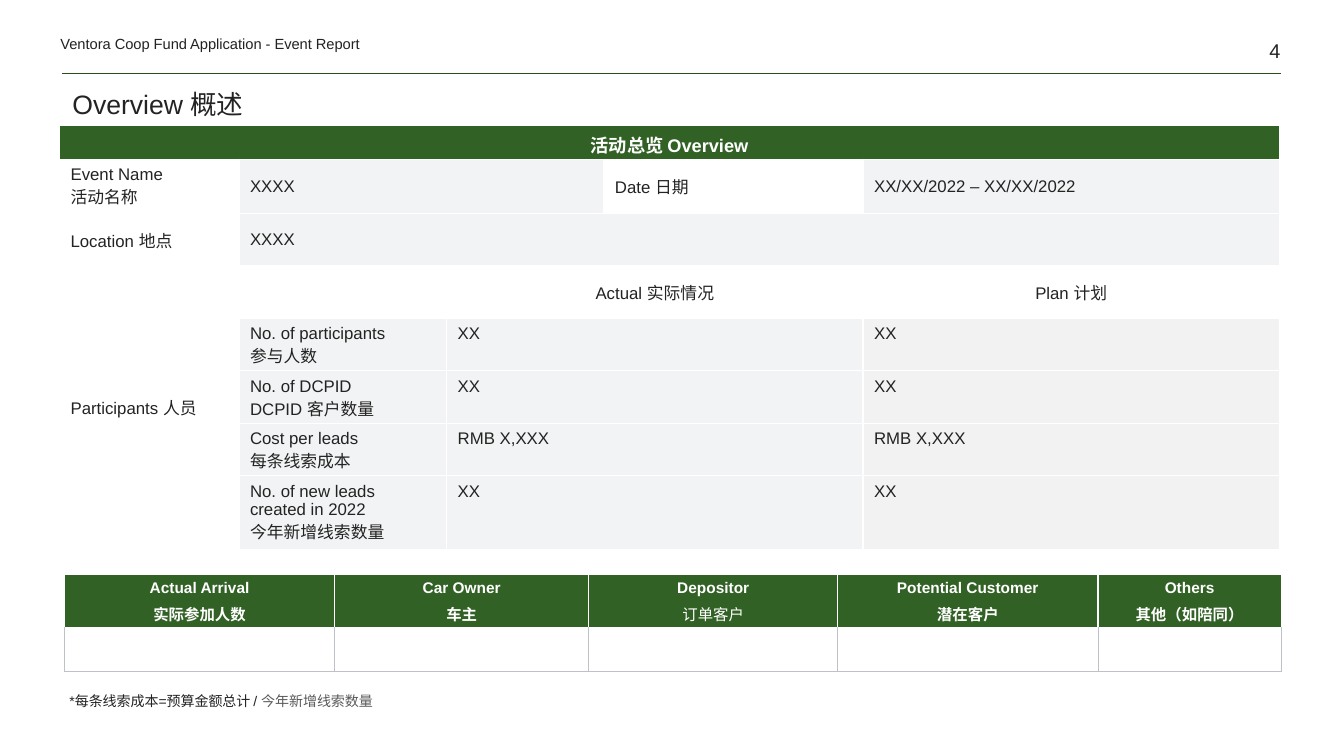
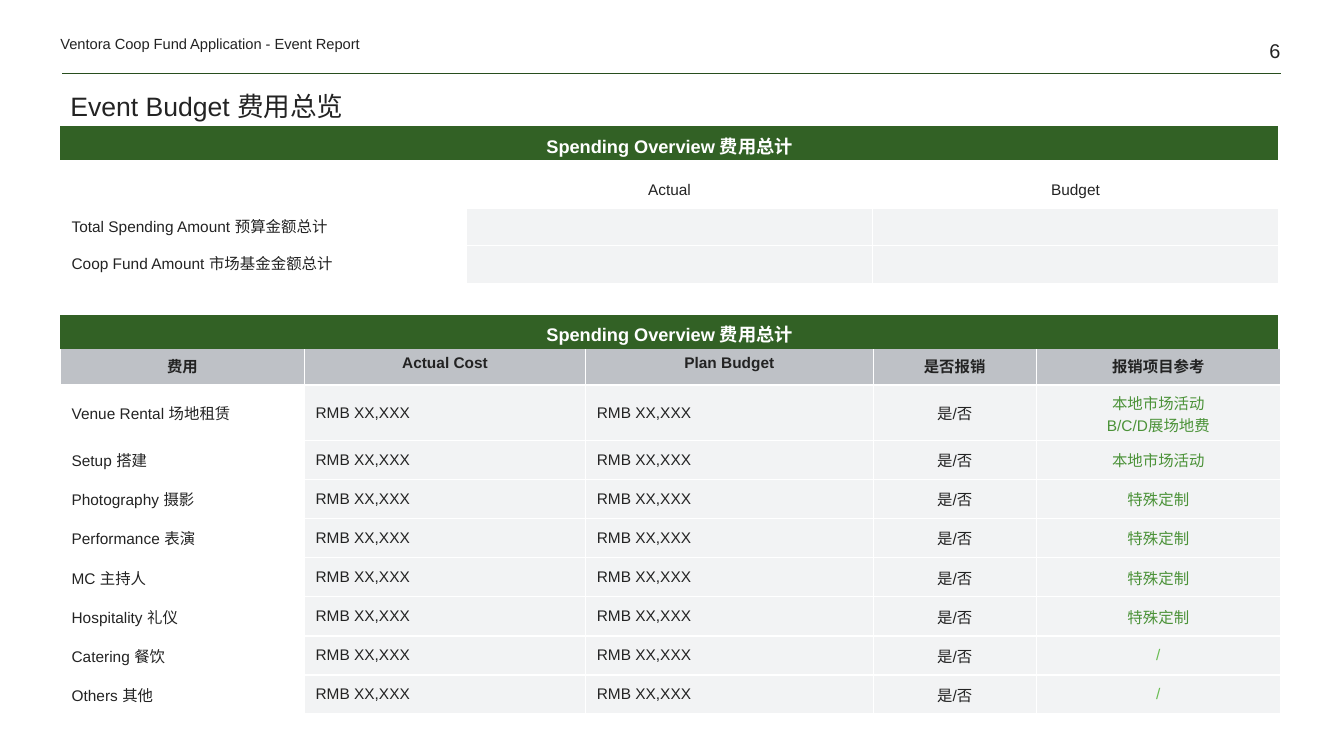
from dataclasses import dataclass

from lxml import etree
from pptx import Presentation
from pptx.dml.color import RGBColor
from pptx.enum.shapes import MSO_CONNECTOR
from pptx.enum.text import MSO_ANCHOR, PP_ALIGN
from pptx.oxml.ns import qn
from pptx.util import Inches, Pt

LEFT, CENTER, RIGHT = PP_ALIGN.LEFT, PP_ALIGN.CENTER, PP_ALIGN.RIGHT
TOP, MIDDLE, BOTTOM = MSO_ANCHOR.TOP, MSO_ANCHOR.MIDDLE, MSO_ANCHOR.BOTTOM
STRAIGHT = MSO_CONNECTOR.STRAIGHT

COLORS = {
    "text": "232323", "muted": "5A5A5A", "white": "FFFFFF",
    "band": "326125", "rule": "284E1E", "grey": "BEC1C6",
    "field": "F2F3F4", "plan": "F2F2F2",
    "item": "4B9238", "none": "67BC51",
}
LATIN, CJK = "Arial", "Noto Sans CJK SC"
COLS, ROWS = 133.3, 75  # grid of the slide
REPORT = "Ventora Coop Fund Application - Event Report"


def rgb(name):
    return RGBColor.from_string(COLORS[name])


def grid(n):
    """Length of n grid steps."""
    return Inches(n / 10)


@dataclass
class Cell:
    text: str = ""
    fill: str = ""
    color: str = "text"
    align: PP_ALIGN = LEFT
    anchor: MSO_ANCHOR = MIDDLE
    bold: bool = False
    size: float = 0
    span: tuple = (1, 1)


class Deck:
    def __init__(self):
        self.prs = Presentation()
        self.prs.slide_width, self.prs.slide_height = grid(COLS), grid(ROWS)
        self.s = None

    def slide(self, number, title, title_box):
        """New slide with running head, rule, page number and title."""
        self.s = self.prs.slides.add_slide(self.prs.slide_layouts[6])
        self.rule(6.2, 127.1, 7.3)
        self.text((118.7, 0, 8.3, 6.2), number, 14.2, BOTTOM, RIGHT, inset=0)
        self.text((6, 2.9, 41.7, 2.3), REPORT, 10.5, BOTTOM, inset=0)
        p = self.text(title_box, title, 19, BOTTOM)
        p.line_spacing = 0.85

    def rule(self, x1, x2, y):
        c = self.s.shapes.add_connector(STRAIGHT, grid(x1), grid(y), grid(x2), grid(y))
        c.line.color.rgb = rgb("rule")
        c.line.width = Pt(0.5)
        etree.SubElement(c._element.spPr, qn("a:effectLst"))

    def text(self, box, text, size, anchor=TOP, align=LEFT, inset=None):
        tf = self.s.shapes.add_textbox(*map(grid, box)).text_frame
        tf.word_wrap = True
        tf.vertical_anchor = anchor
        if inset is not None:
            tf.margin_left = tf.margin_right = grid(inset)
            tf.margin_top = tf.margin_bottom = grid(inset)
        p = tf.paragraphs[0]
        p.text = text
        self.style(p, size, "text", False, align)
        return p

    def style(self, p, size, color, bold, align):
        p.alignment = align
        p.font.size = Pt(size)
        p.font.bold = bold
        p.font.color.rgb = rgb(color)
        p.font.name = LATIN
        etree.SubElement(p._p.pPr.find(qn("a:defRPr")), qn("a:ea"), typeface=CJK)

    def border(self, cell, color, sides="LRTB", width=1):
        tcPr = cell._tc.get_or_add_tcPr()
        for i, side in enumerate(sides):
            ln = etree.Element(qn(f"a:ln{side}"), w=str(Pt(width)))
            if color:
                fill = etree.SubElement(ln, qn("a:solidFill"))
                etree.SubElement(fill, qn("a:srgbClr"), val=COLORS[color])
            else:
                etree.SubElement(ln, qn("a:noFill"))
            tcPr.insert(i, ln)

    def table(self, x, y, cols, rows, cells, size, border="white",
              inset=(1.1, 0.6), gap=0):
        """Table of Cell rows; None marks a place covered by a span."""
        frame = self.s.shapes.add_table(len(rows), len(cols), grid(x), grid(y),
                                        grid(sum(cols)), grid(sum(rows)))
        t = frame.table
        t.first_row = t.horz_banding = False
        for col, width in zip(t.columns, cols):
            col.width = grid(width)
        for row, height in zip(t.rows, rows):
            row.height = grid(height)
        for r, line in enumerate(cells):
            for c, spec in enumerate(line):
                cell = t.cell(r, c)
                self.fill(cell, spec or Cell(), size, inset, gap)
                if border != "own":
                    self.border(cell, border)
                if spec and spec.span != (1, 1):
                    down, across = spec.span
                    cell.merge(t.cell(r + down - 1, c + across - 1))
        return t

    def fill(self, cell, spec, size, inset, gap):
        if spec.fill:
            cell.fill.solid()
            cell.fill.fore_color.rgb = rgb(spec.fill)
        else:
            cell.fill.background()
        cell.vertical_anchor = spec.anchor
        cell.margin_left = cell.margin_right = grid(inset[0])
        cell.margin_top = cell.margin_bottom = grid(inset[1])
        tf = cell.text_frame
        for i, line in enumerate(spec.text.split("\n")):
            p = tf.add_paragraph() if i else tf.paragraphs[0]
            if line:
                p.text = line
            if i and gap:
                p.space_before = Pt(gap)
            self.style(p, spec.size or size, spec.color, spec.bold, spec.align)

    def band(self, y, text):
        self.table(6, y, [120.8], [3.4], [[heading(text)]], 13, border=None)


def heading(text, span=(1, 1), size=13):
    return Cell(text, "band", "white", CENTER, bold=True, size=size, span=span)


def field(text="", **options):
    return Cell(text, "field", **options)


def overview(d):
    d.slide("4", "Overview 概述", (6.2, 8.4, 120.9, 4))

    # Event facts and participant figures
    cells = [
        [heading("活动总览 Overview", (1, 5)), None, None, None, None],
        [Cell("Event Name\n活动名称"), field("XXXX", span=(1, 2)), None,
         Cell("Date 日期"), field("XX/XX/2022 – XX/XX/2022")],
        [Cell("Location 地点"), field("XXXX", span=(1, 4)), None, None, None],
        [Cell("Participants 人员", span=(5, 1)), Cell(),
         Cell("Actual 实际情况", align=CENTER, span=(1, 2)), None,
         Cell("Plan 计划", align=CENTER)],
    ]
    figures = [
        ("No. of participants\n参与人数", "XX"),
        ("No. of DCPID\nDCPID 客户数量", "XX"),
        ("Cost per leads\n每条线索成本", "RMB X,XXX"),
        ("No. of new leads created in 2022\n今年新增线索数量", "XX"),
    ]
    for label, value in figures:
        cells.append([None, field(label, anchor=TOP),
                      field(value, anchor=TOP, span=(1, 2)), None,
                      Cell(value, "plan", anchor=TOP)])
    d.table(5.9, 12.4, [17.8, 20.6, 15.6, 25.7, 41.3],
            [3.4, 5.4] + [5.2] * 5 + [7.3], cells, 12)

    # Arrivals by type of guest
    guests = ["Actual Arrival\n实际参加人数", "Car Owner\n车主", "Depositor\n订单客户",
              "Potential Customer\n潜在客户", "Others\n其他（如陪同）"]
    t = d.table(6.4, 5.7 * 10, [26.8, 25.2, 24.7, 25.8, 18.2], [5.2, 4.4],
                [[heading(g, size=11) for g in guests], [Cell() for g in guests]],
                11, border="own", inset=(0.5, 0.5), gap=4)
    for c in range(len(guests)):
        d.border(t.cell(0, c), "white", "LR")
        d.border(t.cell(1, c), "grey", width=0.5)
    t.cell(0, 2).text_frame.paragraphs[1].font.bold = False

    # Footnote
    p = d.text((5.9, 68.2, 56, 2.7), "*每条线索成本=预算金额总计 / ", 10)
    r = p.add_run()
    r.text = "今年新增线索数量"
    r.font.color.rgb = rgb("muted")


def budget(d):
    d.slide("6", "Event Budget 费用总览", (6, 7.4, 120.8, 5.2))

    # Totals
    d.band(12.5, "Spending Overview 费用总计")
    totals = ["Total Spending Amount 预算金额总计", "Coop Fund Amount 市场基金金额总计"]
    cells = [[Cell(), Cell("Actual", align=CENTER), Cell("Budget", align=CENTER)]]
    cells += [[Cell(label, anchor=TOP), field(), field()] for label in totals]
    d.table(6, 17, [40.27] * 3, [3.7] * 3, cells, 11)

    # Cost items
    heads = ["费用", "Actual Cost", "Plan Budget", "是否报销", "报销项目参考"]
    custom = "特殊定制"
    items = [
        ("Venue Rental 场地租赁", "本地市场活动\nB/C/D展场地费"),
        ("Setup 搭建", "本地市场活动"),
        ("Photography 摄影", custom),
        ("Performance 表演", custom),
        ("MC 主持人", custom),
        ("Hospitality 礼仪", custom),
        ("Catering 餐饮", "/"),
        ("Others 其他", "/"),
    ]
    cells = [[Cell(h, "grey", align=CENTER, anchor=TOP, bold=True) for h in heads]]
    for label, reference in items:
        color = "none" if reference == "/" else "item"
        cells.append([Cell(label), field("RMB XX,XXX"), field("RMB XX,XXX"),
                      field("是/否", align=CENTER),
                      field(reference, color=color, align=CENTER)])
    d.table(6, 34.6, [24.2, 27.9, 28.5, 16.2, 24.2],
            [3.6, 5.5] + [3.88] * 7, cells, 11)
    d.band(31.2, "Spending Overview 费用总计")


def main():
    d = Deck()
    overview(d)
    budget(d)
    d.prs.save("out.pptx")


if __name__ == "__main__":
    main()
